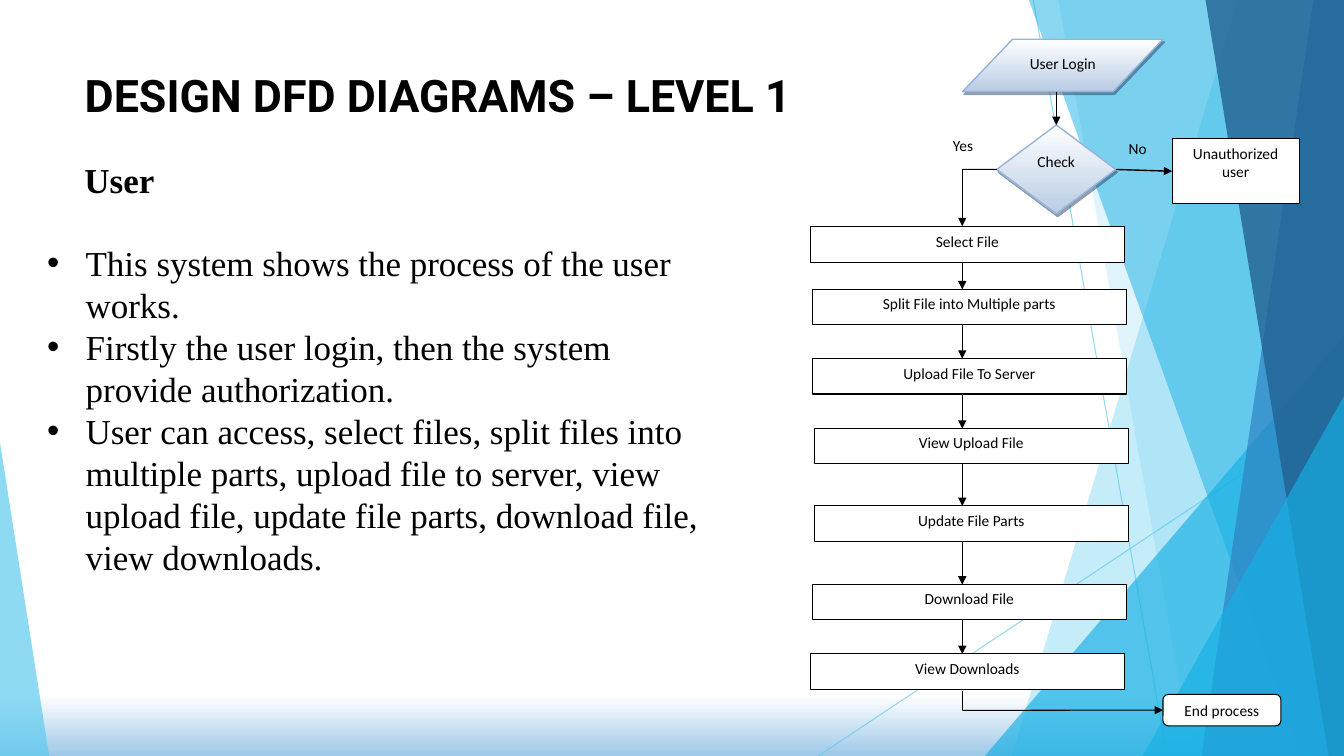
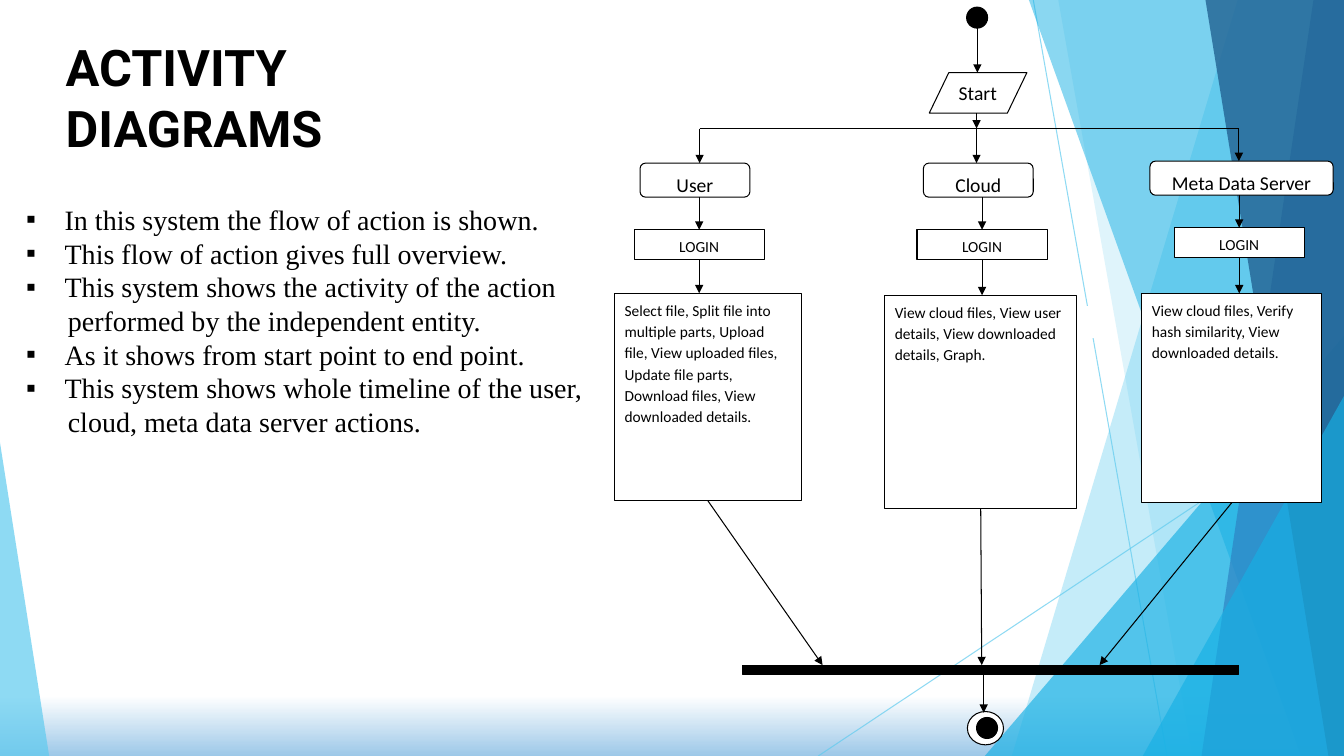
from itertools import pairwise

from lxml.etree import SubElement
from pptx import Presentation
from pptx.dml.color import RGBColor
from pptx.enum.shapes import MSO_CONNECTOR as Link, MSO_SHAPE as Preset
from pptx.enum.text import MSO_ANCHOR as Anchor, MSO_AUTO_SIZE as AutoSize, PP_ALIGN as Align
from pptx.oxml.ns import qn
from pptx.util import Cm, Pt

BLACK = RGBColor(0x00, 0x00, 0x00)
WHITE = RGBColor(0xFF, 0xFF, 0xFF)
SKY = RGBColor(0x5F, 0xCB, 0xEF)
CYAN = RGBColor(0x17, 0xB0, 0xE4)
BLUE = RGBColor(0x2E, 0x83, 0xC3)
NAVY = RGBColor(0x22, 0x62, 0x92)
HORIZON = RGBColor(0x9D, 0xC8, 0xE8)
PALE = RGBColor(0xB8, 0xCC, 0xE4)
STEEL = RGBColor(0x95, 0xB3, 0xD7)
SHADE = "243F60"

HEADING, SERIF, LABEL = "Roboto", "Times New Roman", "Calibri"
WIDTH, HEIGHT = 33.87, 19.05
TOP, LEFT, BOTTOM, RIGHT = 0, 1, 2, 3


def lengths(*values):
    return [Cm(value) for value in values]


def fade(shape, percent):
    """Make the shape's colours see-through."""
    for colour in shape.element.spPr.iter(qn("a:srgbClr")):
        SubElement(colour, qn("a:alpha"), val=str(percent * 1000))


def set_gradient(fill, *stops):
    """Fill from top to bottom."""
    fill.gradient()
    fill.gradient_angle = 270
    for stop, (position, colour) in zip(fill.gradient_stops, stops):
        stop.position = position
        stop.color.rgb = colour


class Sheet:
    """Holds the style and the current page."""

    def __init__(self):
        self.deck = Presentation()
        self.deck.slide_width, self.deck.slide_height = lengths(WIDTH, HEIGHT)
        self.layout = self.deck.slide_layouts[5]
        self.page = None

    def new_page(self, lines, place, size):
        self.page = self.deck.slides.add_slide(self.layout)
        title = self.page.shapes.title
        title.left, title.top, title.width, title.height = lengths(*place)
        frame = title.text_frame
        frame.auto_size = AutoSize.NONE
        frame.vertical_anchor = Anchor.TOP
        para = frame.paragraphs[0]
        para.alignment = Align.LEFT
        for number, line in enumerate(lines):
            if number:
                para.add_line_break()
            self.span(para, line, HEADING, size, True)

    def span(self, para, text, font, size, bold=False):
        span = para.add_run()
        span.text = text
        span.font.name = font
        span.font.size = Pt(size)
        span.font.bold = bold
        span.font.color.rgb = BLACK

    def textbox(self, place):
        frame = self.page.shapes.add_textbox(*lengths(*place)).text_frame
        frame.word_wrap = True
        return frame

    def label(self, text, place, font=LABEL, size=11, bold=False, align=Align.CENTER):
        para = self.textbox(place).paragraphs[0]
        para.alignment = align
        self.span(para, text, font, size, bold)

    def bullets(self, items, place, size, mark):
        """Items are (text, marked); unmarked ones carry on the item above."""
        frame = self.textbox(place)
        for number, (text, marked) in enumerate(items):
            para = frame.add_paragraph() if number else frame.paragraphs[0]
            self.span(para, text, SERIF, size)
            props = para.element.get_or_add_pPr() if hasattr(para, "element") else para._p.get_or_add_pPr()
            props.set("marL", str(Cm(0.97 if marked else 1.05)))
            props.set("indent", str(Cm(-0.97 if marked else 0)))
            if marked:
                SubElement(props, qn("a:buFont"), typeface="Arial")
                SubElement(props, qn("a:buChar"), char=mark)

    def box(self, preset, place, text="", size=11, fill=WHITE, line=BLACK,
            align=Align.CENTER, spacing=1.0):
        box = self.page.shapes.add_shape(preset, *lengths(*place))
        box.shadow.inherit = False
        box.fill.solid()
        box.fill.fore_color.rgb = fill
        if line is None:
            box.line.fill.background()
        else:
            box.line.color.rgb = line
            box.line.width = Pt(0.75)
        if text:
            frame = box.text_frame
            frame.word_wrap = True
            frame.vertical_anchor = Anchor.TOP
            para = frame.paragraphs[0]
            para.alignment = align
            para.line_spacing = spacing
            self.span(para, text, LABEL, size)
        return box

    def glossy(self, preset, place, text):
        """A box with a gradient and a hard shadow."""
        box = self.box(preset, place, text, line=STEEL)
        box.line.width = Pt(1)
        set_gradient(box.fill, (0, WHITE), (1, PALE))
        effects = box.element.spPr.find(qn("a:effectLst"))
        shadow = SubElement(effects, qn("a:outerShdw"), blurRad="0",
                            dist=str(Pt(2.2)), dir=str(63 * 60000))
        colour = SubElement(shadow, qn("a:srgbClr"), val=SHADE)
        SubElement(colour, qn("a:alpha"), val="50000")
        return box

    def line(self, start, end, colour=BLACK, width=0.75):
        line = self.page.shapes.add_connector(Link.STRAIGHT, *lengths(*start, *end))
        line.line.color.rgb = colour
        line.line.width = Pt(width)
        SubElement(line.element.spPr, qn("a:effectLst"))
        return line

    def arrow(self, *points, begin=None, end=None, width=0.75):
        """Straight legs through the points; begin and end are (shape, side)."""
        legs = [self.line(*leg, width=width) for leg in pairwise(points)]
        SubElement(legs[-1].get_or_add_ln(), qn("a:tailEnd"), type="triangle")
        if begin:
            legs[0].begin_connect(*begin)
        if end:
            legs[-1].end_connect(*end)

    def facet(self, top, bottom, colour, opacity):
        """A slanted pane that reaches the right edge."""
        builder = self.page.shapes.build_freeform(Cm(top), 0)
        corners = [(WIDTH, 0), (WIDTH, HEIGHT), (bottom, HEIGHT)]
        builder.add_line_segments([lengths(*corner) for corner in corners], close=True)
        pane = builder.convert_to_shape()
        pane.shadow.inherit = False
        pane.fill.solid()
        pane.fill.fore_color.rgb = colour
        pane.line.fill.background()
        fade(pane, opacity)
        return pane

    def wedge(self, left, top, width, peak, colour, opacity):
        """A triangle that stands on the bottom edge."""
        wedge = self.box(Preset.ISOSCELES_TRIANGLE, (left, top, width, HEIGHT - top),
                         fill=colour, line=None)
        wedge.adjustments[0] = peak
        fade(wedge, opacity)
        return wedge

    def backdrop(self):
        """Draw the shared background and move it to the layout."""
        set_gradient(self.layout.background.fill, (0.92, WHITE), (1, HORIZON))
        rays = [self.line((26.04, 0), (29.41, HEIGHT), SKY),
                self.line((WIDTH, 10.24), (20.62, HEIGHT), SKY)]
        for ray in rays:
            fade(ray, 70)
        parts = rays + [
            self.facet(31.19, 25.5, SKY, 36),
            self.facet(26.67, 30.05, SKY, 20),
            self.wedge(24.82, 8.46, 9.05, 1, CYAN, 66),
            self.facet(25.93, 32.79, CYAN, 50),
            self.facet(33.1, 30.28, BLUE, 70),
            self.facet(30.38, 33.48, NAVY, 80),
            self.wedge(28.8, 9.98, 5.07, 1, CYAN, 66),
            self.wedge(0, 11.15, 1.24, 0, SKY, 70),
        ]
        for number, part in enumerate(parts, 100):
            next(part.element.iter(qn("p:cNvPr"))).set("id", str(number))
            self.layout.shapes.element.append(part.element)


def draw_data_flow(sheet):
    sheet.new_page(["DESIGN DFD DIAGRAMS – LEVEL 1"], (1.88, 1.57, 19, 1.63), 32)
    sheet.backdrop()
    sheet.label("User", (1.88, 3.86, 4, 1.32), SERIF, 25, True, Align.LEFT)
    points = [
        "This system shows the process of the user works.",
        "Firstly the user login, then the system provide authorization.",
        "User can access, select files, split files into multiple parts, upload file "
        "to server, view upload file, update file parts, download file, view downloads.",
    ]
    sheet.bullets([(point, True) for point in points], (0.94, 5.97, 16.94, 8.81), 25, "•")

    # Login and check
    login = sheet.glossy(Preset.PARALLELOGRAM, (24.26, 0.99, 5.05, 1.32), "User Login")
    login.adjustments[0] = 0.953
    check = sheet.glossy(Preset.DIAMOND, (25.12, 3.15, 3, 2.24), "Check")
    refused = sheet.box(Preset.RECTANGLE, (29.54, 3.5, 3.2, 1.63), "Unauthorized user")
    sheet.arrow((26.62, 2.31), (26.62, 3.15), end=(check, TOP))
    sheet.arrow((28.12, 4.27), (29.54, 4.32), begin=(check, RIGHT), end=(refused, LEFT), width=1)
    sheet.label("No", (28.12, 3.38, 1.1, 0.79))
    sheet.box(Preset.RECTANGLE, (23.72, 3.3, 1.1, 0.79), "Yes", line=WHITE)

    # Column of file steps
    stem, depth = 24.25, 0.89
    steps = [("Select File", 20.42, 5.72), ("Split File into Multiple parts", 20.47, 7.29),
             ("Upload File To Server", 20.47, 9.04), ("View Upload File", 20.52, 10.8),
             ("Update File Parts", 20.52, 12.75), ("Download File", 20.47, 14.73),
             ("View Downloads", 20.42, 16.48)]
    for text, left, top in steps:
        sheet.box(Preset.RECTANGLE, (left, top, 7.92, depth), text)
    for (_, _, above), (_, _, below) in pairwise(steps):
        sheet.arrow((stem, above + depth), (stem, below))
    sheet.arrow((25.12, 4.27), (stem, 4.27), (stem, 5.7), begin=(check, LEFT))

    # End of the process
    finish = sheet.box(Preset.ROUNDED_RECTANGLE, (29.31, 17.5, 2.97, 0.79), "End process")
    sheet.arrow((stem, 17.42), (stem, 17.9), (29.31, 17.9), end=(finish, LEFT))


def draw_activity(sheet):
    sheet.new_page(["ACTIVITY ", "DIAGRAMS"], (1.4, 0.79, 14, 3.33), 36)
    sheet.bullets([
        ("In this system the flow of action is shown.", True),
        ("This flow of action gives full overview.", True),
        ("This system shows the activity of the action", True),
        ("performed by the independent entity.", False),
        ("As it shows from start point to end point.", True),
        ("This system shows whole timeline of the user,", True),
        ("cloud, meta data server actions.", False),
    ], (0.41, 4.98, 16.94, 6.25), 20, "▪")

    # Start and fork
    fork, bar, dot = 3.24, 16.76, 0.53
    sheet.box(Preset.RECTANGLE, (22.53, 7.72, 5.05, 0.79), line=WHITE)
    sheet.box(Preset.FLOWCHART_CONNECTOR, (24.36, 0.18, dot, dot), fill=BLACK)
    sheet.box(Preset.FLOWCHART_DATA, (23.42, 1.83, 2.46, 1.02), "Start", 14,
              align=Align.LEFT, spacing=1.15)
    sheet.arrow((24.63, 0.71), (24.63, 1.83))
    sheet.arrow((24.61, 2.85), (24.61, fork))
    sheet.line((17.63, fork), (31.22, fork))
    sheet.box(Preset.FLOWCHART_PROCESS, (18.72, bar, 12.5, 0.23), fill=BLACK)

    # Lanes: role, its left, top and width, fork x, login left, task place, bar x, task
    lanes = [
        ("User", 16.13, 4.11, 2.77, 17.63, 15.98, (15.49, 7.39, 4.7, 5.23), 20.73,
         "Select file, Split file into multiple parts, Upload file, View uploaded files, "
         "Update file parts, Download files, View downloaded details."),
        ("Cloud", 23.27, 4.11, 2.77, 24.61, 23.11, (22.3, 7.44, 4.83, 5.38), 24.74,
         "View cloud files, View user details, View downloaded details, Graph."),
        ("Meta Data Server", 28.98, 4.06, 4.62, 31.22, 29.59, (28.78, 7.39, 4.52, 5.28), 27.71,
         "View cloud files, Verify hash similarity, View downloaded details."),
    ]
    for role, left, top, width, fork_x, login_left, place, bar_x, text in lanes:
        sheet.box(Preset.FLOWCHART_ALTERNATE_PROCESS, (left, top, width, 0.86), role, 14,
                  spacing=1.15)
        login = sheet.box(Preset.RECTANGLE, (login_left, top + 1.68, 3.28, 0.76), "LOGIN",
                          spacing=1.15)
        task = sheet.box(Preset.FLOWCHART_PROCESS, place, text, align=Align.LEFT, spacing=1.15)
        middle = login_left + 1.64
        sheet.arrow((fork_x, fork), (fork_x, top))
        sheet.arrow((middle, top + 0.86), (middle, top + 1.68), end=(login, TOP))
        sheet.arrow((middle, top + 2.44), (middle, place[1]), begin=(login, BOTTOM))
        sheet.arrow((place[0] + place[2] / 2, place[1] + place[3]), (bar_x, bar),
                    begin=(task, BOTTOM))

    # End point
    sheet.box(Preset.OVAL, (24.38, 17.93, 0.91, 0.84))
    sheet.box(Preset.FLOWCHART_CONNECTOR, (24.61, 18.08, dot, dot), fill=BLACK)
    sheet.arrow((24.79, 17), (24.79, 17.96))


def main():
    sheet = Sheet()
    draw_data_flow(sheet)
    draw_activity(sheet)
    sheet.deck.save("out.pptx")


if __name__ == "__main__":
    main()
